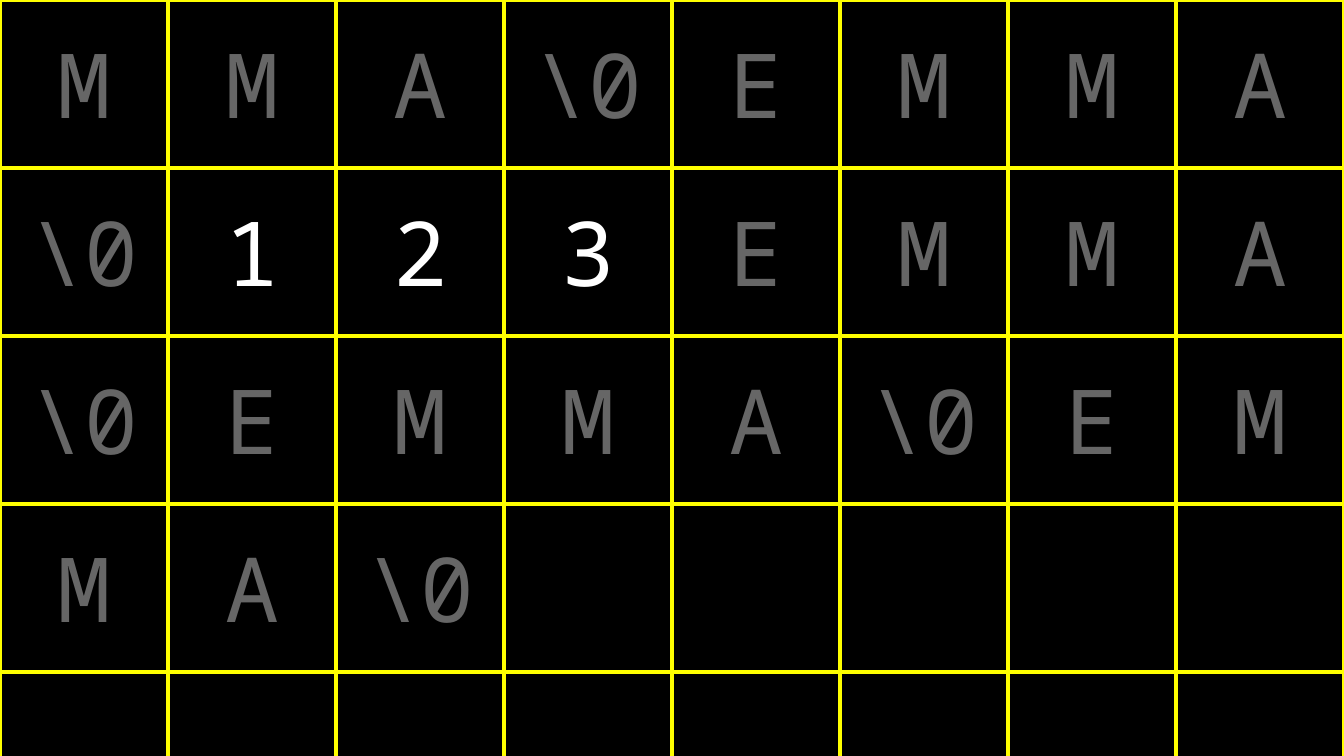
"""Build a slide that shows memory as a grid of bytes."""
from dataclasses import dataclass

from lxml.etree import SubElement
from pptx import Presentation
from pptx.dml.color import RGBColor as Rgb
from pptx.enum.text import MSO_ANCHOR as Anchor, PP_ALIGN as Align
from pptx.oxml.ns import qn
from pptx.util import Inches, Pt

MEMORY = [
    ["M", "M", "A", "\\0", "E", "M", "M", "A"],
    ["\\0", "1", "2", "3", "E", "M", "M", "A"],
    ["\\0", "E", "M", "M", "A", "\\0", "E", "M"],
    ["M", "A", "\\0", "", "", "", "", ""],
    ["", "", "", "", "", "", "", ""],
]


@dataclass(frozen=True)
class Theme:
    background: str = "000000"
    grid: str = "FFFF00"
    garbage: str = "666666"
    number: str = "FFFFFF"
    font: str = "Noto Sans Mono"
    size: int = 48
    grid_width: int = 3


def add_borders(cell, theme):
    properties = cell._tc.get_or_add_tcPr()
    for index, side in enumerate(("lnL", "lnR", "lnT", "lnB")):
        line = SubElement(properties, qn(f"a:{side}"), w=str(Pt(theme.grid_width)))
        fill = SubElement(line, qn("a:solidFill"))
        SubElement(fill, qn("a:srgbClr"), val=theme.grid)
        properties.insert(index, line)


def fill_cell(cell, text, theme):
    cell.fill.background()
    cell.vertical_anchor = Anchor.MIDDLE
    cell.margin_left = cell.margin_right = Inches(0.1)
    cell.margin_top = cell.margin_bottom = Inches(0.1)
    add_borders(cell, theme)
    if text:
        para = cell.text_frame.paragraphs[0]
        para.text = text
        para.alignment = Align.CENTER
        para.font.name = theme.font
        para.font.size = Pt(theme.size)
        color = theme.number if text.isdigit() else theme.garbage
        para.font.color.rgb = Rgb.from_string(color)


theme = Theme()
deck = Presentation()
deck.slide_width = Inches(10)
deck.slide_height = Inches(10 * 9 / 16)
page = deck.slides.add_slide(deck.slide_layouts[6])
page.background.fill.solid()
page.background.fill.fore_color.rgb = Rgb.from_string(theme.background)

byte_size = Inches(1.25)
row_count, column_count = len(MEMORY), len(MEMORY[0])
grid = page.shapes.add_table(
    row_count, column_count, 0, 0, byte_size * column_count, byte_size * row_count
).table
grid.first_row = grid.horz_banding = False
for row_index, row in enumerate(MEMORY):
    for column_index, text in enumerate(row):
        fill_cell(grid.cell(row_index, column_index), text, theme)

deck.save("out.pptx")
